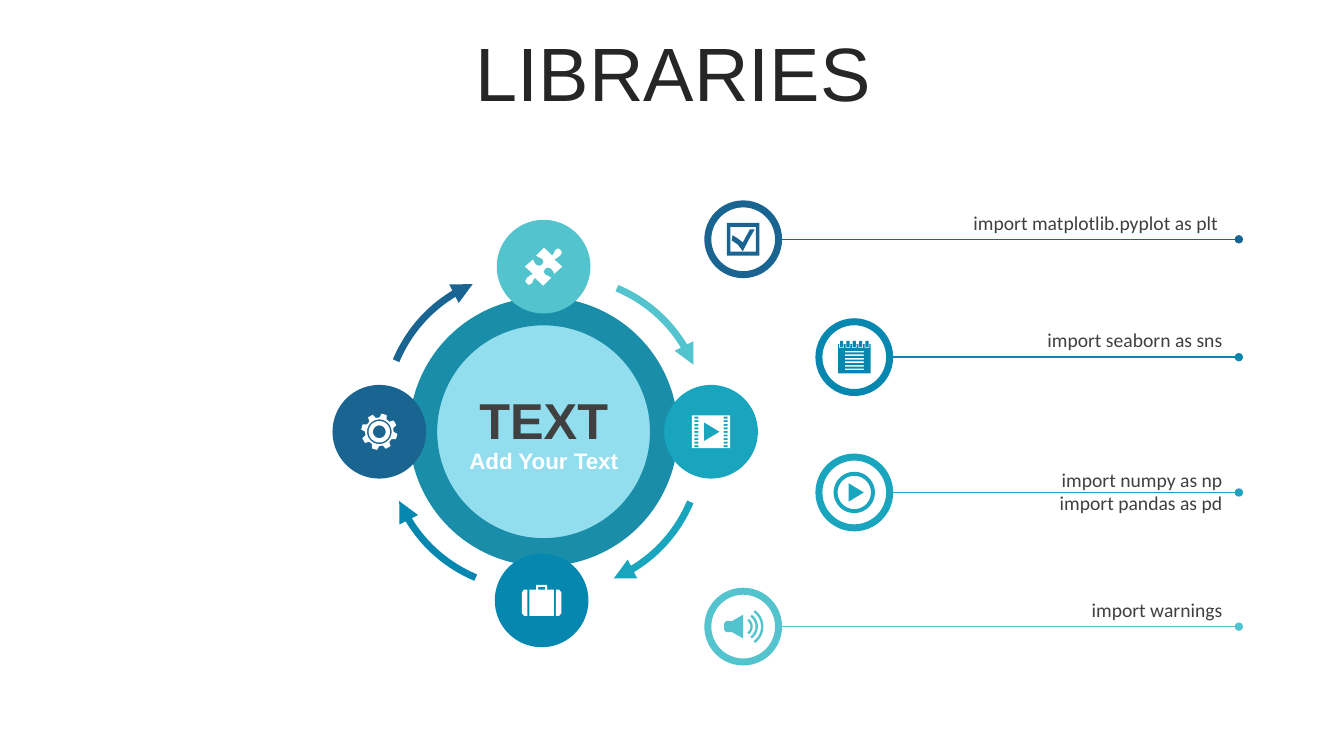
"""Build the LIBRARIES slide: a four-part cycle beside four rows of imports."""
import dataclasses
import math

import lxml.etree
import pptx
import pptx.dml.color
import pptx.enum.shapes
import pptx.enum.text
import pptx.oxml.ns
import pptx.util

Cm, Pt = pptx.util.Cm, pptx.util.Pt
Shape = pptx.enum.shapes.MSO_SHAPE
Align = pptx.enum.text.PP_ALIGN
Anchor = pptx.enum.text.MSO_ANCHOR
Fit = pptx.enum.text.MSO_AUTO_SIZE
qn = pptx.oxml.ns.qn


@dataclasses.dataclass(frozen=True)
class Theme:
    navy: str = "196491"
    blue: str = "0587AF"
    teal: str = "19A5BE"
    mint: str = "53C3CD"
    rim: str = "1A8EA9"
    pale: str = "92DDEE"
    white: str = "FFFFFF"
    ink: str = "262626"
    gray: str = "404040"
    head: str = "Arial"
    body: str = "Calibri"
    title: int = 54
    hub: int = 36
    sub: int = 16
    code: int = 14


def tint(hue):
    return pptx.dml.color.RGBColor.from_string(hue)


class Maker:
    def __init__(self, deck, theme):
        self.theme = theme
        self.slide = deck.slides.add_slide(deck.slide_layouts[5])
        self.shapes = self.slide.shapes

    def letter(self, frame, lines, font, size, hue, align, bold=False):
        frame.word_wrap = True
        for i, line in enumerate(lines):
            para = frame.add_paragraph() if i else frame.paragraphs[0]
            para.alignment = align
            run = para.add_run()
            run.text = line
            run.font.name, run.font.size, run.font.bold = font, Pt(size), bold
            run.font.color.rgb = tint(hue)

    def title(self, text):
        box = self.shapes.title
        box.left, box.top, box.width, box.height = Cm(0.89), Cm(0.94), Cm(32.16), Cm(2.01)
        frame = box.text_frame
        frame.auto_size, frame.vertical_anchor = Fit.NONE, Anchor.MIDDLE
        self.letter(frame, [text], self.theme.head, self.theme.title, self.theme.ink, Align.CENTER)
        frame.paragraphs[0].line_spacing = 0.9
        frame.paragraphs[0].space_before = Pt(10)

    def label(self, left, top, width, height, lines, *style, anchor=Anchor.TOP, bold=False):
        box = self.shapes.add_textbox(Cm(left), Cm(top), Cm(width), Cm(height))
        box.text_frame.vertical_anchor = anchor
        self.letter(box.text_frame, lines, *style, bold=bold)
        box.text_frame.auto_size = Fit.SHAPE_TO_FIT_TEXT

    def paint(self, shape, fill):
        shape.shadow.inherit = False
        shape.fill.solid()
        shape.fill.fore_color.rgb = tint(fill)
        shape.line.fill.background()

    def round(self, kind, x, y, size, fill):
        shape = self.shapes.add_shape(kind, Cm(x - size / 2), Cm(y - size / 2), Cm(size), Cm(size))
        self.paint(shape, fill)
        return shape

    def stroke(self, shape, hue, width, tail=None):
        shape.line.color.rgb = tint(hue)
        shape.line.width = Pt(width)
        if tail:
            line = shape._element.spPr.find(qn("a:ln"))
            lxml.etree.SubElement(line, qn("a:tailEnd"), type=tail)

    def sweep(self, x, y, start, hue):
        arc = self.round(Shape.ARC, x, y, 7.22, hue)
        arc.fill.background()
        arc.adjustments[0] = start * 0.6
        arc.adjustments[1] = (start + 44.4) * 0.6
        self.stroke(arc, hue, 5, "triangle")

    def ruler(self, left, right, y, hue):
        line = self.shapes.add_connector(
            pptx.enum.shapes.MSO_CONNECTOR.STRAIGHT, Cm(left), Cm(y), Cm(right), Cm(y))
        self.stroke(line, hue, 1, "oval")
        lxml.etree.SubElement(line._element.spPr, qn("a:effectLst"))

    def icon(self, x, y, outlines, fill):
        pen = None
        for outline in outlines:
            first, *rest = [(Cm(x + dx), Cm(y + dy)) for dx, dy in outline]
            if pen is None:
                pen = self.shapes.build_freeform(*first)
            else:
                pen.move_to(*first)
            pen.add_line_segments(rest, close=True)
        self.paint(pen.convert_to_shape(), fill)


def box(left, top, right, low):
    return [(left, top), (right, top), (right, low), (left, low)]


def polar(rad, deg):
    return rad * math.cos(math.radians(deg)), rad * math.sin(math.radians(deg))


def ring(rad):
    return [polar(rad, deg) for deg in range(0, 360, 6)]


def wave(rad):
    span = range(-54, 55, 6)
    return [polar(rad, a) for a in span] + [polar(rad - 0.06, a) for a in reversed(span)]


def flip(points, sx, sy):
    return [(sx * x, sy * y) for x, y in points]


half = [(0.42, -0.43), (0.46, -0.36), (0.42, -0.28), (0.35, -0.23), (0.27, -0.18),
        (0.47, 0), (0.27, 0.18), (0.23, 0.1), (0.19, 0.05), (0.11, 0.02),
        (0.04, 0.05), (0, 0.13), (0.04, 0.2), (0.13, 0.24), (0.19, 0.28),
        (-0.01, 0.48), (-0.22, 0.28), (-0.26, 0.34), (-0.29, 0.41), (-0.36, 0.46)]
puzzle = [half + flip(half, -1, -1)]

film = [box(-0.48, -0.41, 0.48, 0.41), [(-0.18, -0.24), (-0.18, 0.24), (0.22, 0)]]
film += [box(x - 0.05, 0.09 * i - 0.02, x + 0.05, 0.09 * i + 0.03)
         for x in (-0.37, 0.37) for i in range(-4, 5)]

strip = [(0.36, -0.27), (0.44, -0.27), (0.5, -0.2), (0.5, 0.32), (0.44, 0.39), (0.36, 0.39)]
case = [strip, flip(strip, -1, 1), box(-0.31, -0.27, 0.31, 0.39),
        box(-0.14, -0.39, 0.14, -0.27), box(-0.09, -0.34, 0.09, -0.27)]

teeth = [polar(rad, 15.5 + 45 * i + turn) for i in range(8)
         for rad, turn in ((0.36, -15), (0.46, -8.5), (0.46, 8.5), (0.36, 15))]
gear = [teeth, ring(0.31), ring(0.27), ring(0.16)]

check = [box(-0.41, -0.41, 0.41, 0.41), box(-0.32, -0.31, 0.32, 0.31),
         [(-0.27, -0.1), (-0.15, -0.03), (-0.01, 0.08), (0.17, -0.25), (0.29, -0.25),
          (0.13, 0.03), (-0.01, 0.3), (-0.14, 0.13), (-0.29, 0.03)]]

pad = [box(-0.41, -0.33, 0.41, 0.41)]
pad += [box(-0.24, 0.09 * i - 0.16, 0.24, 0.09 * i - 0.12) for i in range(6)]
for i in range(-2, 3):
    pad += [box(0.16 * i - 0.06, -0.33, 0.16 * i + 0.06, -0.23),
            box(0.16 * i - 0.04, -0.41, 0.16 * i + 0.04, -0.25)]

play = [ring(0.52), ring(0.42), [(-0.14, -0.23), (0.24, 0), (-0.14, 0.23)]]
horn = [[(0, -0.3), (0, 0.3), (-0.28, 0.14), (-0.43, 0.14), (-0.48, 0.08),
         (-0.48, -0.08), (-0.43, -0.14), (-0.28, -0.14)], wave(0.24), wave(0.37), wave(0.51)]

deck = pptx.Presentation()
deck.slide_width, deck.slide_height = Cm(33.87), Cm(19.05)
look = Theme()
page = Maker(deck, look)
page.title("LIBRARIES")

hub = page.round(Shape.OVAL, 13.7, 10.88, 6.07, look.pale)
page.stroke(hub, look.rim, 20)
for x, y, start, hue in ((13.31, 10.49, 202.8, look.navy), (14.07, 11.25, 22.8, look.teal),
                         (14.15, 10.59, 292.8, look.mint), (13.39, 11.23, 112.8, look.blue)):
    page.sweep(x, y, start, hue)

for x, y, hue, sign in ((13.7, 6.72, look.mint, puzzle), (13.65, 15.13, look.blue, case),
                        (17.92, 10.88, look.teal, film), (9.56, 10.88, look.navy, gear)):
    page.round(Shape.OVAL, x, y, 2.36, hue)
    page.icon(x, y, sign, look.white)

for top, height, text, size, hue in ((9.75, 1.63, "TEXT", look.hub, look.gray),
                                     (11.18, 0.84, "Add Your Text", look.sub, look.white)):
    page.label(11.18, top, 5.05, height, [text], look.head, size, hue, Align.CENTER,
               anchor=Anchor.MIDDLE, bold=True)

rows = ((18.73, 6.03, look.navy, check, 0.85, ["import matplotlib.pyplot as plt "]),
        (21.53, 9, look.blue, pad, 0.85, ["import seaborn as sns"]),
        (21.53, 12.41, look.teal, play, 0.75, ["import numpy as np", "import pandas as pd"]),
        (18.73, 15.79, look.mint, horn, 0.85, ["import warnings"]))
for x, y, hue, sign, rise, lines in rows:
    page.round(Shape.DONUT, x, y, 1.96, hue).adjustments[0] = 0.09
    page.ruler(x + 0.98, 31.22, y, hue)
    left = x + 1.15
    page.label(left, y - rise, 31.06 - left, 0.86 if len(lines) == 1 else 1.45, lines,
               look.body, look.code, look.gray, Align.RIGHT)
    page.icon(x, y, sign, hue)

deck.save("out.pptx")
